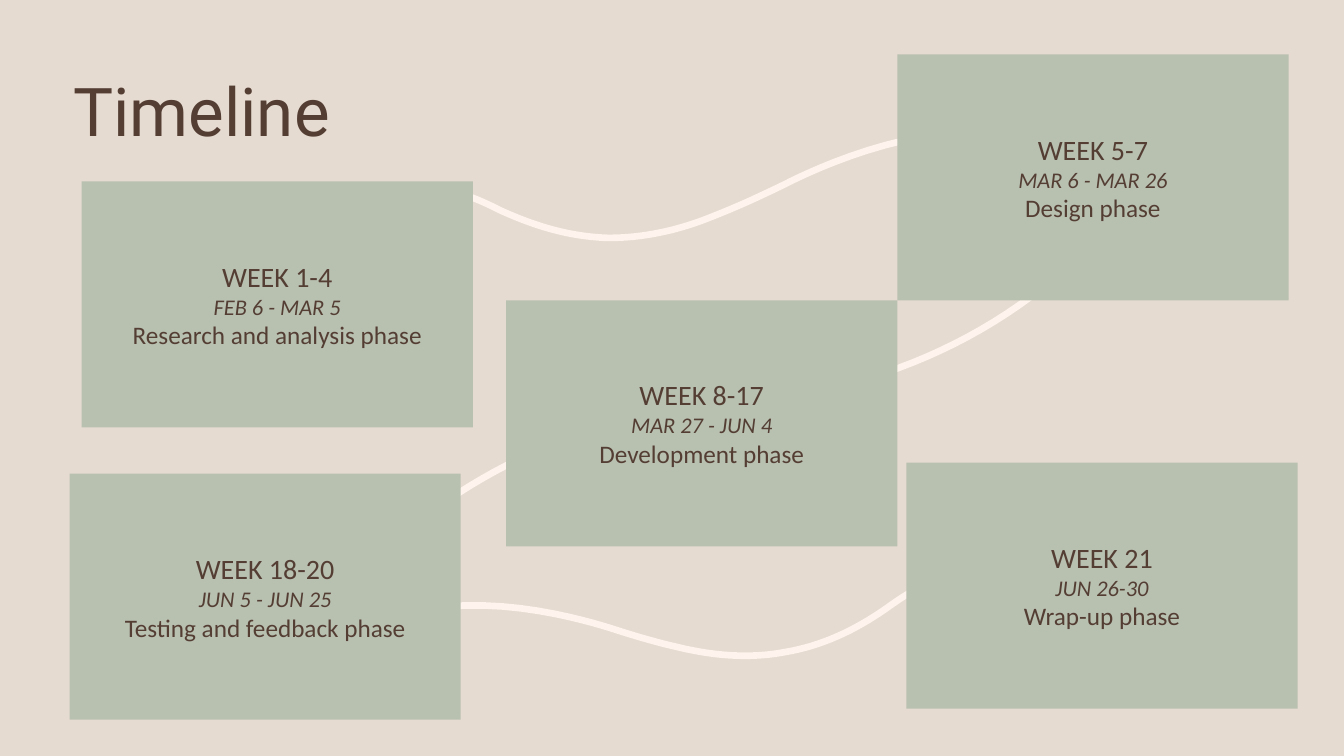
import pptx
import pptx.util
import pptx.dml.color
import pptx.enum.shapes
import pptx.enum.text
from dataclasses import dataclass

Inches = pptx.util.Inches
RGB = pptx.dml.color.RGBColor.from_string
ANCHOR = pptx.enum.text.MSO_ANCHOR
ALIGN = pptx.enum.text.PP_ALIGN


@dataclass(frozen=True)
class Theme:
    background: str = "E6DBD0"
    card: str = "B8C0B0"
    path_line: str = "FEF3ED"
    text: str = "543E34"
    title_font: str = "Roboto"
    body_font: str = "Calibri"
    title_size: float = 48
    week_size: float = 20
    dates_size: float = 16
    phase_size: float = 18
    line_width: float = 4.75


THEME = Theme()
CARD_SIZE = (3.88, 2.44)
CURVE_STEPS = 16

CARDS = [
    (0.81, 1.8, "WEEK 1-4", "FEB 6 - MAR 5", "Research and analysis phase"),
    (8.9, 0.54, "WEEK 5-7", "MAR 6 - MAR 26", "Design phase"),
    (5.02, 2.98, "WEEK 8-17", "MAR 27 - JUN 4", "Development phase"),
    (0.69, 4.7, "WEEK 18-20", "JUN 5 - JUN 25", "Testing and feedback phase"),
    (8.99, 4.59, "WEEK 21", "JUN 26-30", "Wrap-up phase"),
]

CURVES = [
    [(8.33, 3.83), (9.13, 3.63), (9.85, 3.27), (10.47, 2.75)],
    [(5.84, 4.28), (5.09, 4.52), (4.45, 4.9), (3.89, 5.39)],
    [(3.07, 2.23), (3.5, 1.87), (3.98, 1.77), (4.49, 1.9),
     (4.66, 1.94), (4.81, 2.01), (4.97, 2.09),
     (5.3, 2.24), (5.65, 2.35), (6.04, 2.36),
     (6.37, 2.36), (6.7, 2.29), (7.01, 2.17),
     (7.37, 2.03), (7.57, 1.93), (7.78, 1.83),
     (8.01, 1.71), (9.4, 1.03), (10.27, 1.46)],
    [(9.2, 5.79), (9.04, 5.86), (8.91, 5.95), (8.77, 6.05),
     (8.48, 6.25), (8.15, 6.41), (7.78, 6.47),
     (7.46, 6.53), (7.14, 6.51), (6.81, 6.44),
     (6.45, 6.36), (6.24, 6.29), (6.02, 6.22),
     (5.78, 6.15), (4.34, 5.7), (3.47, 6.36)],
]


def add_run(p, text, font, size, italic=False):
    r = p.add_run()
    r.text = text
    r.font.name = font
    r.font.size = pptx.util.Pt(size)
    r.font.italic = italic
    r.font.color.rgb = RGB(THEME.text)


def bezier_points(knots):
    for i in range(0, len(knots) - 1, 3):
        a, b, c, d = knots[i:i + 4]
        for step in range(1, CURVE_STEPS + 1):
            t = step / CURVE_STEPS
            u = 1 - t
            weights = (u ** 3, 3 * u * u * t, 3 * u * t * t, t ** 3)
            yield tuple(
                Inches(sum(w * k[axis] for w, k in zip(weights, (a, b, c, d))))
                for axis in (0, 1)
            )


def add_curve(s, knots):
    x, y = knots[0]
    builder = s.shapes.build_freeform(Inches(x), Inches(y))
    builder.add_line_segments(list(bezier_points(knots)), close=False)
    sp = builder.convert_to_shape()
    sp.shadow.inherit = False
    sp.fill.background()
    sp.line.color.rgb = RGB(THEME.path_line)
    sp.line.width = pptx.util.Pt(THEME.line_width)


def add_title(s, left, top, width, height, text):
    sp = s.shapes.add_textbox(*map(Inches, (left, top, width, height)))
    tf = sp.text_frame
    tf.word_wrap = True
    tf.vertical_anchor = ANCHOR.MIDDLE
    p = tf.paragraphs[0]
    p.line_spacing = 0.9
    add_run(p, text, THEME.title_font, THEME.title_size)


def add_card(s, left, top, width, height, week, dates, phase):
    sp = s.shapes.add_shape(
        pptx.enum.shapes.MSO_SHAPE.RECTANGLE,
        *map(Inches, (left, top, width, height)),
    )
    sp.shadow.inherit = False
    sp.fill.solid()
    sp.fill.fore_color.rgb = RGB(THEME.card)
    sp.line.fill.background()
    tf = sp.text_frame
    tf.word_wrap = True
    tf.vertical_anchor = ANCHOR.MIDDLE
    lines = [
        (week, THEME.week_size, False),
        (dates, THEME.dates_size, True),
        (phase, THEME.phase_size, False),
    ]
    for i, (text, size, italic) in enumerate(lines):
        p = tf.add_paragraph() if i else tf.paragraphs[0]
        p.alignment = ALIGN.CENTER
        add_run(p, text, THEME.body_font, size, italic)


def add_timeline_slide(prs):
    s = prs.slides.add_slide(prs.slide_layouts[6])
    s.background.fill.solid()
    s.background.fill.fore_color.rgb = RGB(THEME.background)
    for knots in CURVES:
        add_curve(s, knots)
    add_title(s, 0.63, 0.77, 10, 0.74, "Timeline")
    for left, top, *texts in CARDS:
        add_card(s, left, top, *CARD_SIZE, *texts)


def main():
    prs = pptx.Presentation()
    prs.slide_width = Inches(13.33)
    prs.slide_height = Inches(7.5)
    add_timeline_slide(prs)
    prs.save("out.pptx")


if __name__ == "__main__":
    main()
